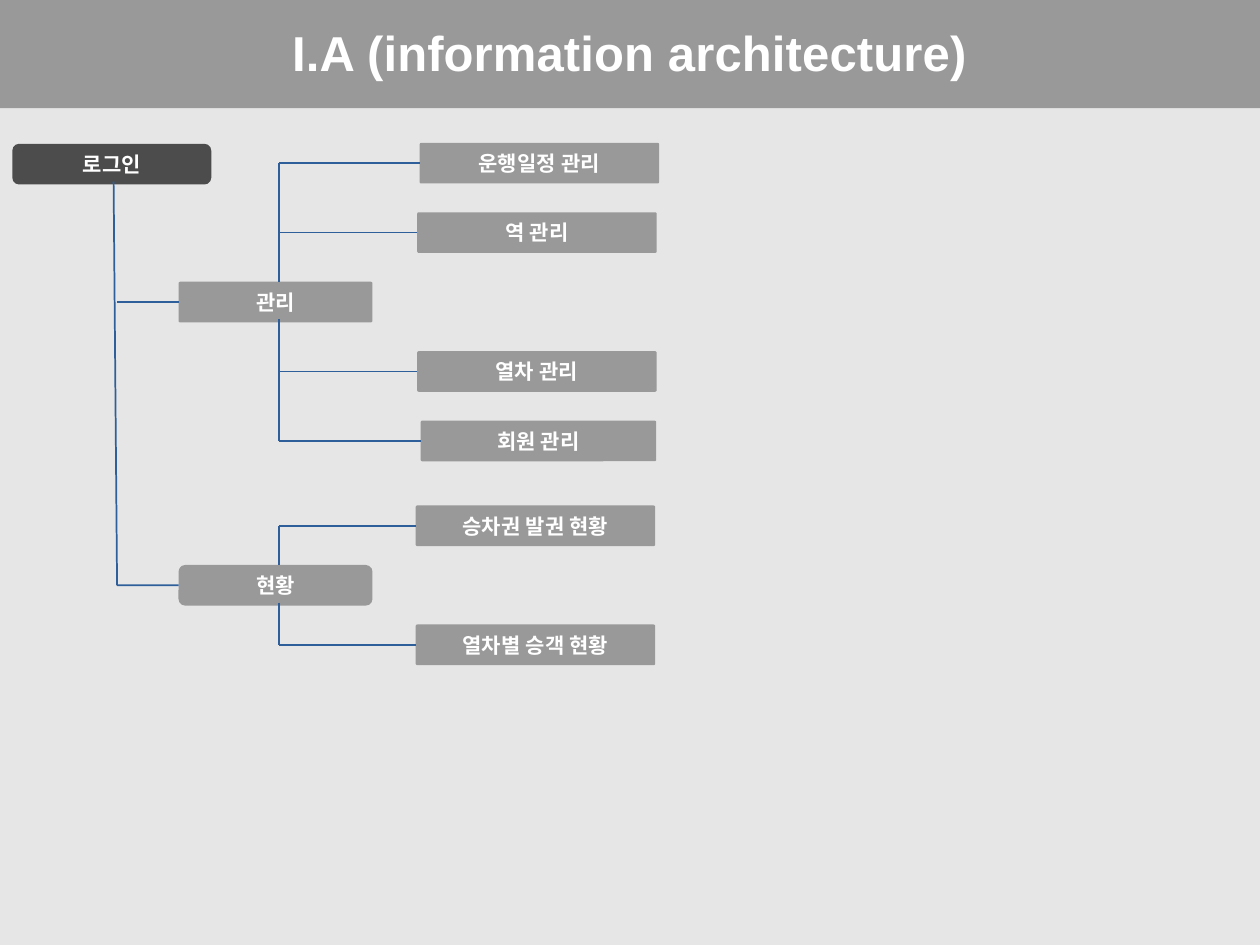
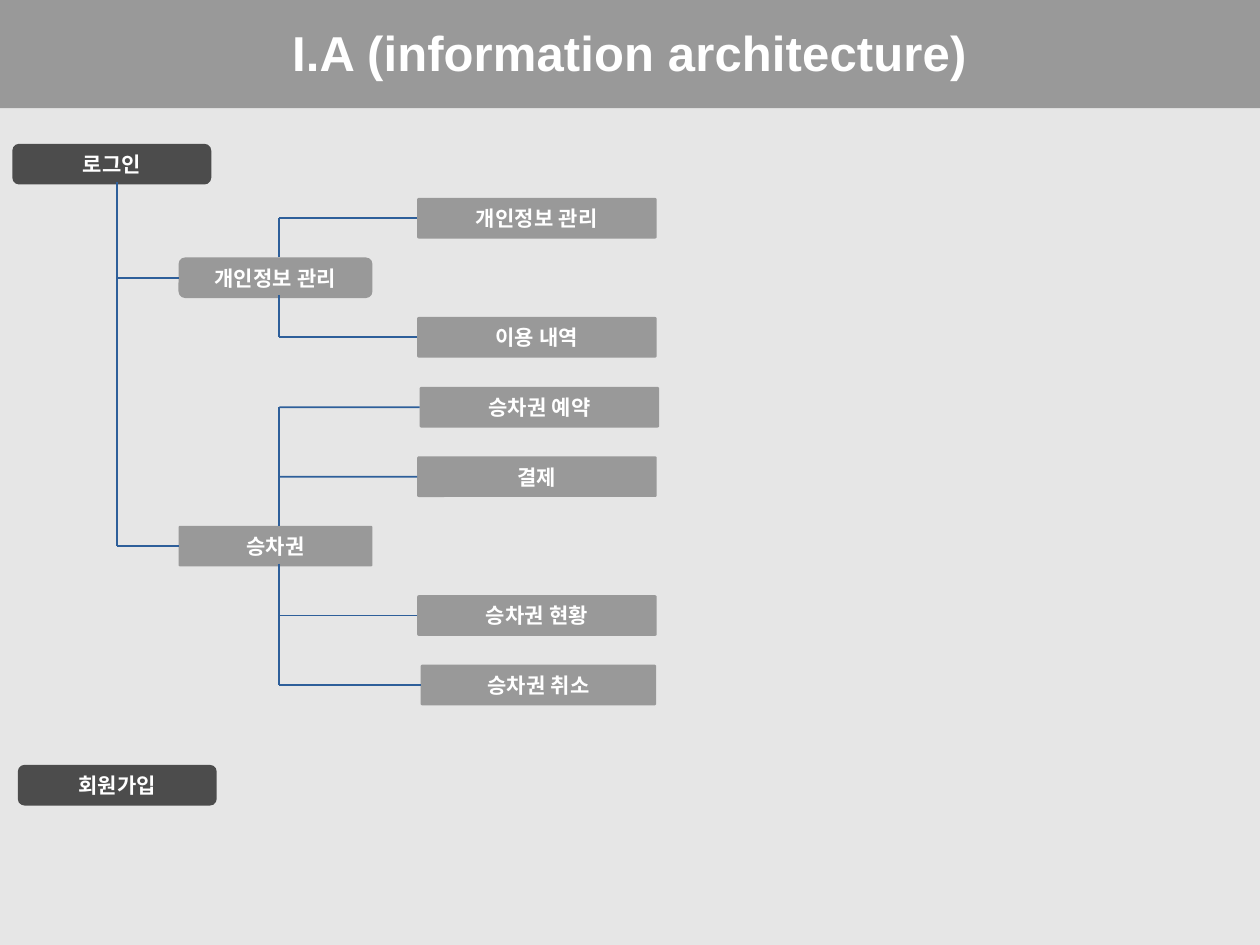
from dataclasses import dataclass

from lxml.etree import SubElement
from pptx import Presentation
from pptx.dml.color import RGBColor as RGB
from pptx.enum.shapes import MSO_CONNECTOR as LINE, MSO_SHAPE as SHAPE
from pptx.enum.text import MSO_ANCHOR as ANCHOR, PP_ALIGN as ALIGN
from pptx.oxml.ns import qn
from pptx.util import Cm, Pt

TITLE = "I.A (information architecture)"

# Roots: (label, left, top). Leaves: (label, left[, width]). Lengths in cm.
# A branch fills equal rows: leaves above, its own box, leaves below.
LOGIN = ("로그인", 0.25, 2.9)
PAGES = [
    {
        "roots": [LOGIN],
        "trunk_top": 2.29,
        "branches": [
            {"label": "관리", "top": 2.88, "step": 1.4, "corner": 0.042,
             "above": [("운행일정 관리", 8.46), ("역 관리", 8.41)],
             "below": [("열차 관리", 8.41), ("회원 관리", 8.48, 4.75)]},
            {"label": "현황", "top": 10.19, "step": 1.2, "corner": 0.167,
             "above": [("승차권 발권 현황", 8.38)],
             "below": [("열차별 승객 현황", 8.38)]},
        ],
    },
    {
        "roots": [LOGIN, ("회원가입", 0.36, 15.42)],
        "trunk_top": 2.36,
        "branches": [
            {"label": "개인정보 관리", "top": 3.99, "step": 1.2, "corner": 0.167,
             "above": [("개인정보 관리", 8.41)],
             "below": [("이용 내역", 8.41)]},
            {"label": "승차권", "top": 7.8, "step": 1.4, "corner": 0.042,
             "above": [("승차권 예약", 8.46), ("결제", 8.41)],
             "below": [("승차권 현황", 8.41), ("승차권 취소", 8.48, 4.75)]},
        ],
    },
]

BOX_H = 0.82
ROOT_W, BRANCH_W, LEAF_W = 4.01, 3.91, 4.83
BRANCH_X, TRUNK_X, STEM_X = 3.6, 2.36, 5.63
OVERLAP = 0.06  # how far a line starts inside the box above it


@dataclass(frozen=True)
class Theme:
    page: RGB = RGB.from_string("E6E6E6")
    root: RGB = RGB.from_string("4C4C4C")
    box: RGB = RGB.from_string("999999")
    line: RGB = RGB.from_string("2E5F9A")
    text: RGB = RGB.from_string("FFFFFF")
    title_font: str = "Arial"
    label_font: str = "Noto Sans CJK KR"
    title_size: int = 28
    label_size: int = 12
    line_width: int = 1


T = Theme()


def write(tf, text, size=T.label_size, font=T.label_font, color=T.text):
    tf.word_wrap = True
    tf.vertical_anchor = ANCHOR.MIDDLE
    p = tf.paragraphs[0]
    p.alignment = ALIGN.CENTER
    r = p.add_run()
    r.text = text
    r.font.size, r.font.bold, r.font.name = Pt(size), True, font
    r.font.color.rgb = color
    props = r.font._element
    props.set("spc", "10")
    SubElement(props, qn("a:ea"), typeface=font)


def add_box(s, kind, x, y, w, h, fill):
    sp = s.shapes.add_shape(kind, Cm(x), Cm(y), Cm(w), Cm(h))
    sp.shadow.inherit = False
    sp.fill.solid()
    sp.fill.fore_color.rgb = fill
    sp.line.fill.background()
    return sp


def add_node(s, label, x, y, w, fill=T.box, corner=0.042):
    sp = add_box(s, SHAPE.ROUNDED_RECTANGLE, x, y, w, BOX_H, fill)
    sp.adjustments[0] = corner
    sp.text_frame.margin_top = sp.text_frame.margin_bottom = 0
    write(sp.text_frame, label)
    return sp


def add_line(s, x1, y1, x2, y2):
    ln = s.shapes.add_connector(LINE.STRAIGHT, Cm(x1), Cm(y1), Cm(x2), Cm(y2))
    ln.line.color.rgb = T.line
    ln.line.width = Pt(T.line_width)
    SubElement(ln._element.spPr, qn("a:effectLst"))
    return ln


def add_branch(s, label, top, step, corner, above, below):
    """Draw a branch with its leaves and return the height of its centre."""
    box_y = top + step * len(above)
    box = add_node(s, label, BRANCH_X, box_y, BRANCH_W, corner=corner)
    mid = BOX_H / 2
    last_y = box_y + step * len(below)
    add_line(s, STEM_X, box_y, STEM_X, top + mid)
    add_line(s, STEM_X, box_y + BOX_H - OVERLAP, STEM_X, last_y + mid)
    add_line(s, BRANCH_X, box_y + mid, TRUNK_X, box_y + mid).begin_connect(box, 1)
    for first_y, leaves in ((top, above), (box_y + step, below)):
        for i, (text, x, *width) in enumerate(leaves):
            y = first_y + i * step
            leaf = add_node(s, text, x, y, width[0] if width else LEAF_W)
            add_line(s, x, y + mid, STEM_X, y + mid).begin_connect(leaf, 1)
    return box_y + mid


def add_page(prs, roots, trunk_top, branches):
    s = prs.slides.add_slide(prs.slide_layouts[6])
    title = s.shapes.add_textbox(Cm(5), Cm(0.33), Cm(15.4), Cm(1.45))
    write(title.text_frame, TITLE, size=T.title_size, font=T.title_font)
    for label, x, y in roots:
        add_node(s, label, x, y, ROOT_W, fill=T.root, corner=0.167)
    trunk_end = max([add_branch(s, **branch) for branch in branches])
    add_line(s, trunk_top, roots[0][2] + BOX_H - OVERLAP, TRUNK_X, trunk_end)
    return s


def style_layout(prs, s):
    """Give every slide the page colour and the title band."""
    bg = prs.slide_master.background.fill
    bg.solid()
    bg.fore_color.rgb = T.page
    band = add_box(s, SHAPE.RECTANGLE, 0, 0, 25.4, 2.18, T.box)
    band.element.nvSpPr.cNvPr.set("id", "99")
    prs.slide_layouts[6].shapes.element.append(band.element)


def main():
    prs = Presentation()
    prs.slide_width, prs.slide_height = Cm(25.4), Cm(19.05)
    slides = [add_page(prs, **page) for page in PAGES]
    style_layout(prs, slides[0])
    prs.save("out.pptx")


if __name__ == "__main__":
    main()
